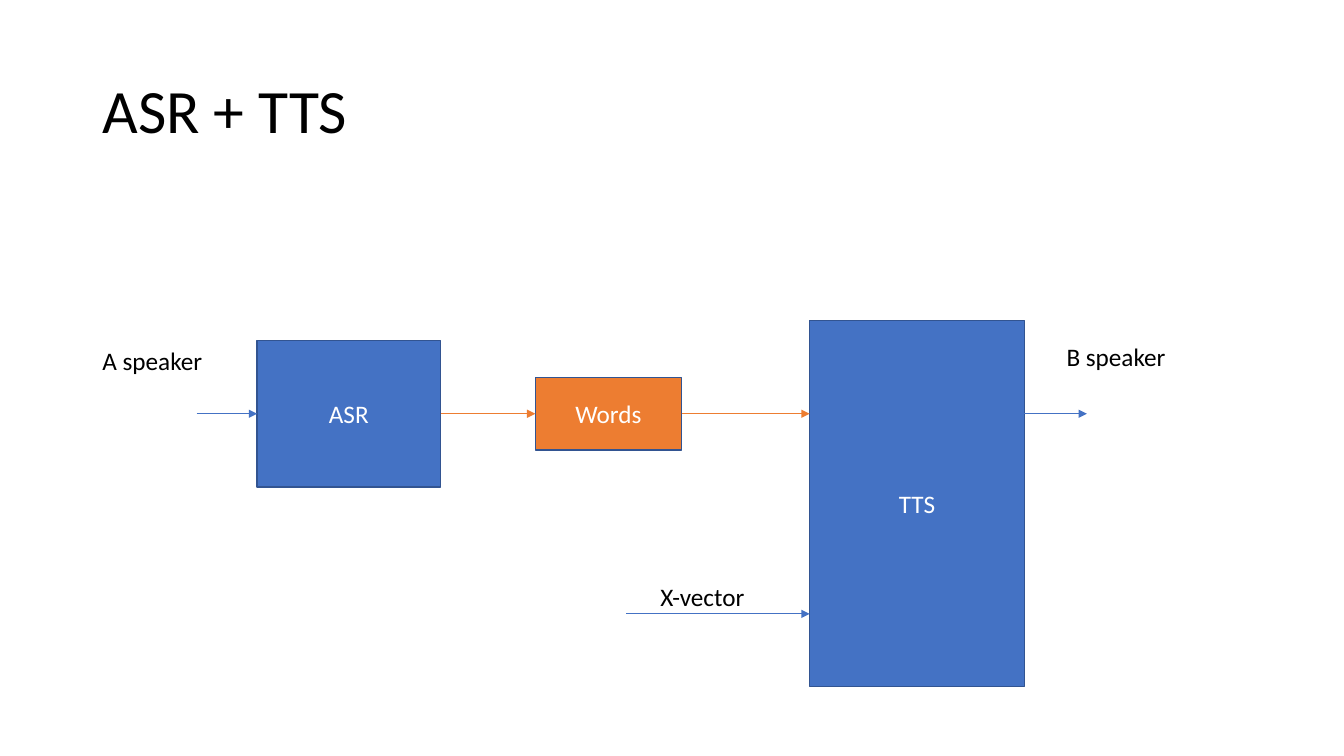
from pptx import Presentation, util as u
from pptx.dml.color import RGBColor
from pptx.enum import shapes, text
from pptx.oxml.ns import qn
from lxml import etree

COLORS = {"blue": "4472C4", "orange": "ED7D31", "border": "325491",
          "black": "000000", "white": "FFFFFF"}
LEFT, RIGHT = 1, 3


class SpeechDiagram:
    """Draws styled elements on one slide, on a grid of 100 columns by 100 rows."""

    font_name = "Calibri"

    def __init__(self, presentation):
        self.column = presentation.slide_width / 100
        self.row = presentation.slide_height / 100
        self.slide = presentation.slides.add_slide(presentation.slide_layouts[5])

    def place(self, left, top, width, height):
        return (round(left * self.column), round(top * self.row),
                round(width * self.column), round(height * self.row))

    def color(self, name):
        return RGBColor.from_string(COLORS[name])

    def add_words(self, shape, words, size, color, align):
        paragraph = shape.text_frame.paragraphs[0]
        paragraph.alignment = align
        run = paragraph.add_run()
        run.text = words
        run.font.name = self.font_name
        run.font.size = u.Pt(size)
        run.font.color.rgb = self.color(color)
        return paragraph

    def title(self, words, *area):
        shape = self.slide.shapes.title
        shape.left, shape.top, shape.width, shape.height = self.place(*area)
        shape.text_frame.vertical_anchor = text.MSO_ANCHOR.MIDDLE
        shape.text_frame.auto_size = text.MSO_AUTO_SIZE.NONE
        paragraph = self.add_words(shape, words, 44, "black", text.PP_ALIGN.LEFT)
        paragraph.line_spacing = 0.9

    def box(self, words, fill, left, middle, width, height):
        area = self.place(left, middle - height / 2, width, height)
        shape = self.slide.shapes.add_shape(shapes.MSO_SHAPE.RECTANGLE, *area)
        shape.shadow.inherit = False
        shape.fill.solid()
        shape.fill.fore_color.rgb = self.color(fill)
        shape.line.color.rgb = self.color("border")
        shape.line.width = u.Pt(1)
        shape.text_frame.vertical_anchor = text.MSO_ANCHOR.MIDDLE
        self.add_words(shape, words, 18, "white", text.PP_ALIGN.CENTER)
        return shape

    def label(self, words, left, top, width):
        shape = self.slide.shapes.add_textbox(*self.place(left, top, width, 5.33))
        shape.text_frame.word_wrap = False
        shape.text_frame.auto_size = text.MSO_AUTO_SIZE.SHAPE_TO_FIT_TEXT
        self.add_words(shape, words, 18, "black", text.PP_ALIGN.LEFT)

    def arrow(self, color, start, end, row, source=None, target=None):
        ends = self.place(start, row, end, row)
        line = self.slide.shapes.add_connector(shapes.MSO_CONNECTOR.STRAIGHT, *ends)
        if source is not None:
            line.begin_connect(source, RIGHT)
        if target is not None:
            line.end_connect(target, LEFT)
        line.line.color.rgb = self.color(color)
        line.line.width = u.Pt(0.5)
        properties = line._element.spPr
        etree.SubElement(properties.find(qn("a:ln")), qn("a:tailEnd"), type="triangle")
        etree.SubElement(properties, qn("a:effectLst"))


def main():
    presentation = Presentation()
    presentation.slide_width = u.Inches(13.33)
    presentation.slide_height = u.Inches(7.5)
    diagram = SpeechDiagram(presentation)
    axis, vector_row = 54.73, 81.2

    diagram.title("ASR + TTS", 6.88, 5.33, 86.25, 19.33)
    asr = diagram.box("ASR", "blue", 19.13, axis, 13.65, 19.4)
    diagram.box("TTS", "blue", 60.24, 66.6, 15.98, 48.4)
    words = diagram.box("Words", "orange", 39.83, axis, 10.88, 9.6)

    diagram.arrow("blue", 14.63, 19.13, axis, target=asr)
    diagram.arrow("orange", 32.78, 39.83, axis, source=asr, target=words)
    diagram.arrow("orange", 50.71, 60.24, axis, source=words)
    diagram.arrow("blue", 76.22, 80.87, axis)
    diagram.arrow("blue", 46.59, 60.24, vector_row)

    diagram.label("X-vector", 48.39, 76.27, 7.88)
    diagram.label("A speaker", 6.88, 45.07, 9)
    diagram.label("B speaker", 78.62, 44.53, 8.93)
    presentation.save("out.pptx")


if __name__ == "__main__":
    main()
